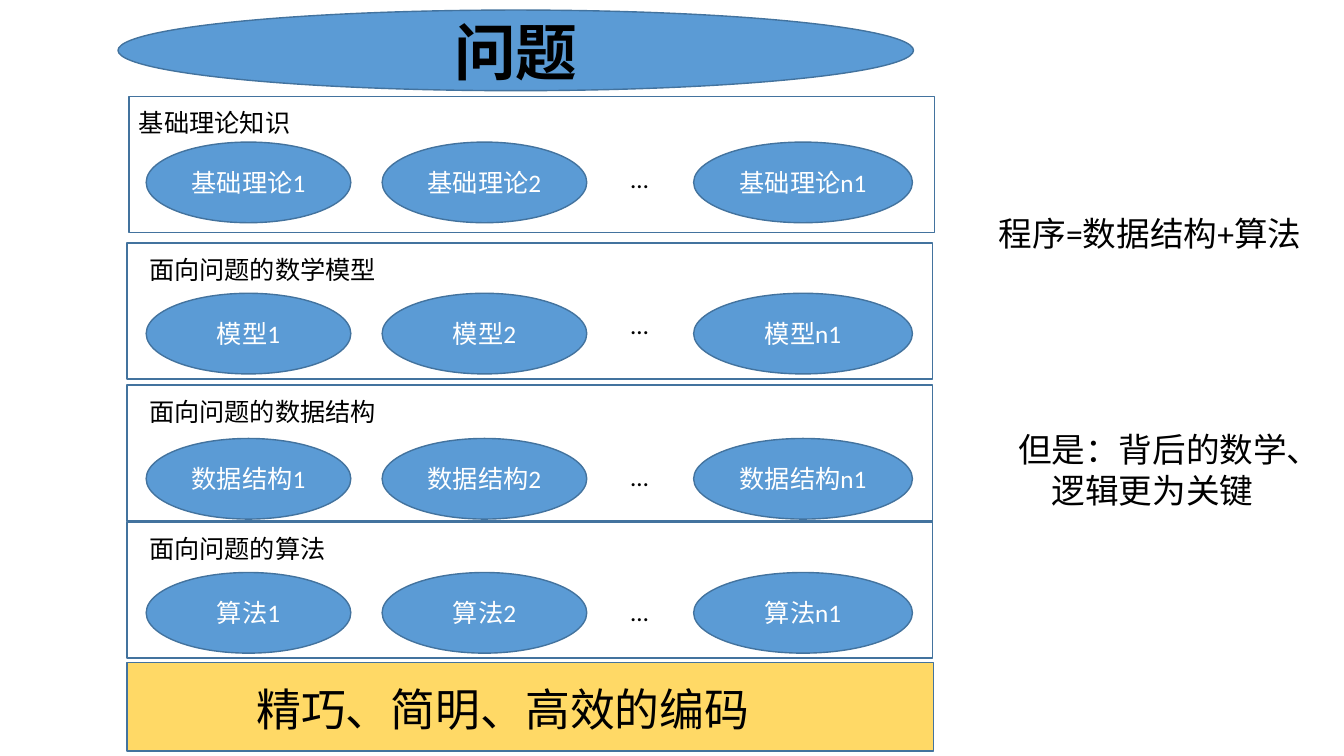
from pptx import Presentation
from pptx.dml.color import RGBColor
from pptx.enum.shapes import MSO_SHAPE as Shape
from pptx.enum.text import MSO_ANCHOR as Anchor, MSO_AUTO_SIZE as AutoSize, PP_ALIGN as Align
from pptx.util import Inches, Pt

FONT = "Calibri"
BLUE, EDGE, YELLOW, BLACK, WHITE = "5B9BD5", "43739E", "FFD966", "000000", "FFFFFF"

PROBLEM = "问题"
CODING = "精巧、简明、高效的编码"
FORMULA = "程序=数据结构+算法"
REMARK = "但是：背后的数学、逻辑更为关键"

# heading, heading left and width, item stem, frame left and top, tops of ovals and dots
LAYERS = [
    ("基础理论知识", 1.28, 1.72, "基础理论", 1.28, 0.96, 1.41, 1.57),
    ("面向问题的数学模型", 1.38, 2.47, "模型", 1.26, 2.41, 2.91, 3.02),
    ("面向问题的数据结构", 1.38, 2.47, "数据结构", 1.26, 3.82, 4.35, 4.53),
    ("面向问题的算法", 1.38, 1.97, "算法", 1.26, 5.18, 5.68, 5.87),
]
# number, left, width
COLUMNS = [("1", 1.45, 2.03), ("2", 3.79, 2.03), ("n1", 6.88, 2.17)]
FRAME_W, FRAME_H, OVAL_H, LINE_H = 7.99, 1.35, 0.8, 0.4
HEADING_GAP = 0.06
DOTS_X, DOTS_W = 6.16, 0.38


def rgb(color):
    return RGBColor.from_string(color)


def write(s, text, size, color, align, bold=False, wrap=False):
    tf = s.text_frame
    tf.text = text
    tf.word_wrap = wrap
    p = tf.paragraphs[0]
    p.alignment = align
    font = p.runs[0].font
    font.name, font.size, font.bold = FONT, Pt(size), bold
    font.color.rgb = rgb(color)


def add_box(kind, x, y, w, h, fill=None):
    s = slide.shapes.add_shape(kind, Inches(x), Inches(y), Inches(w), Inches(h))
    s.shadow.inherit = False
    if fill:
        s.fill.solid()
        s.fill.fore_color.rgb = rgb(fill)
    else:
        s.fill.background()
    s.line.color.rgb = rgb(EDGE)
    s.line.width = Pt(1)
    return s


def add_oval(x, y, w, text, size=18, color=WHITE, bold=False):
    s = add_box(Shape.OVAL, x, y, w, OVAL_H, BLUE)
    s.text_frame.vertical_anchor = Anchor.MIDDLE
    write(s, text, size, color, Align.CENTER, bold)


def add_label(x, y, w, h, text, size=18, align=Align.LEFT, wrap=False):
    s = slide.shapes.add_textbox(Inches(x), Inches(y), Inches(w), Inches(h))
    write(s, text, size, BLACK, align, wrap=wrap)
    s.text_frame.auto_size = AutoSize.SHAPE_TO_FIT_TEXT


prs = Presentation()
prs.slide_width, prs.slide_height = Inches(13.33), Inches(7.5)
slide = prs.slides.add_slide(prs.slide_layouts[6])

add_oval(1.17, 0.1, 7.89, PROBLEM, 44, BLACK, bold=True)

for heading, head_x, head_w, stem, frame_x, frame_y, oval_y, dots_y in LAYERS:
    for number, x, w in COLUMNS:
        add_oval(x, oval_y, w, stem + number)
    add_box(Shape.RECTANGLE, frame_x, frame_y, FRAME_W, FRAME_H)
    add_label(head_x, frame_y + HEADING_GAP, head_w, LINE_H, heading)
    add_label(DOTS_X, dots_y, DOTS_W, LINE_H, "…")

add_box(Shape.RECTANGLE, 1.26, 6.57, 8, 0.88, YELLOW)
add_label(2.42, 6.71, 5.14, 0.64, CODING, 32, Align.CENTER)
add_label(9.81, 2.06, 3.23, 0.5, FORMULA, 24, wrap=True)
add_label(9.87, 4.21, 3.12, 0.91, REMARK, 24, Align.CENTER, wrap=True)

prs.save("out.pptx")
